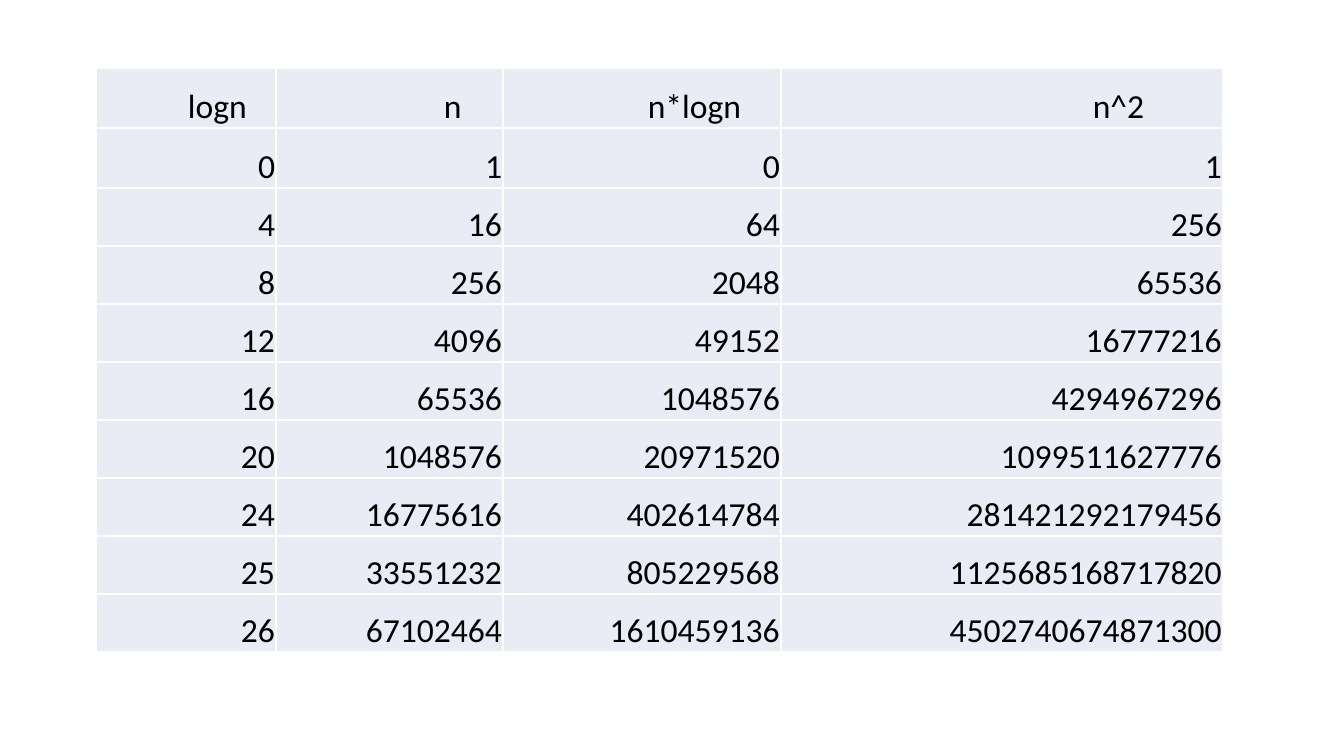
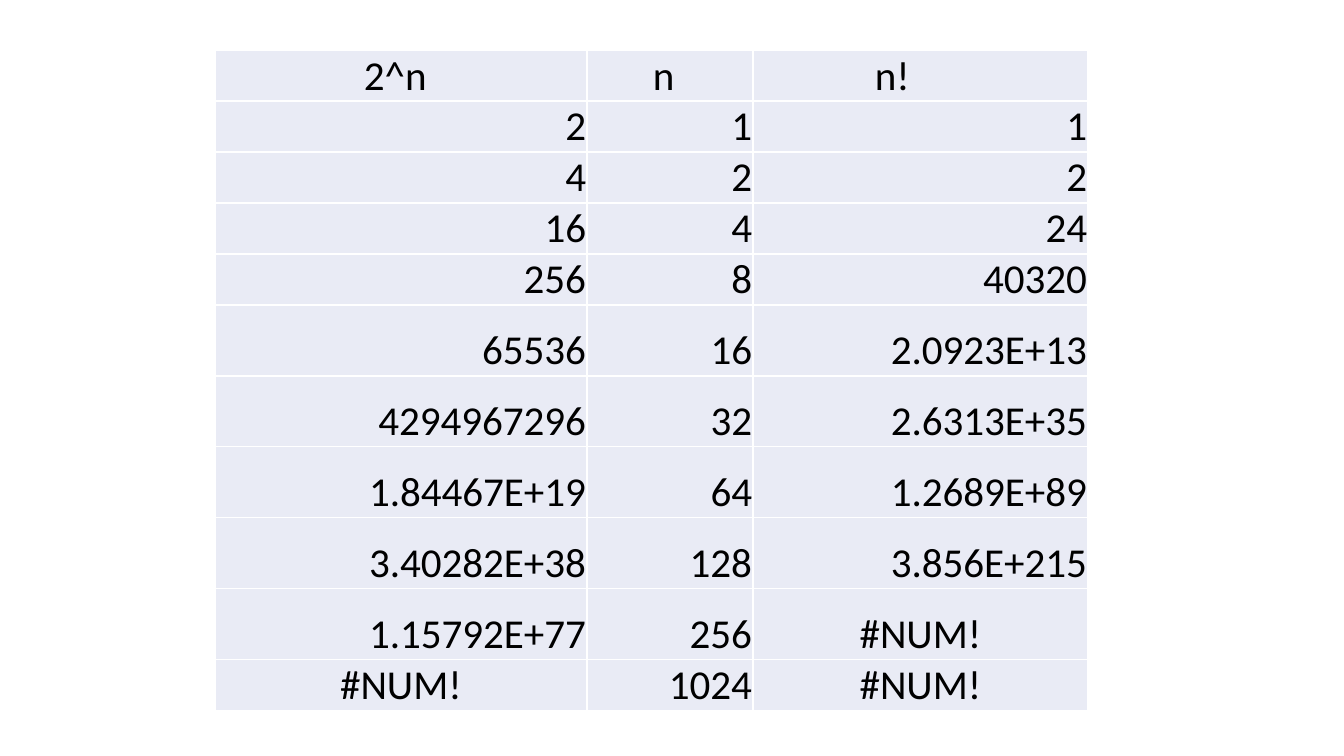
from dataclasses import dataclass

from lxml.etree import SubElement
from pptx import Presentation
from pptx.dml.color import RGBColor
from pptx.enum.text import MSO_ANCHOR, PP_ALIGN
from pptx.oxml.ns import qn
from pptx.presentation import Presentation as Deck
from pptx.table import _Cell as Cell
from pptx.util import Emu, Pt

SCALE = 914400 / 134.4  # EMU per pixel
WIDTH, HEIGHT = 1344, 756
FONT = "Calibri"
COLORS = {"text": "000000", "fill": "E9EBF5", "rule": "FFFFFF"}
ERROR = "#NUM!"


@dataclass(frozen=True)
class Head:
    """A column head: its label, column width and text indent."""
    label: str
    width: int
    indent: int


@dataclass(frozen=True)
class Grid:
    """A table of growth values; lengths are in pixels, size in points."""
    left: int
    top: int
    size: int
    heads: list[Head]
    heights: list[int]
    body: list[tuple[str, ...]]


GRIDS = [
    Grid(
        96, 68, 18,
        [Head("logn", 180, 91), Head("n", 227, 167),
         Head("n*logn", 278, 144), Head("n^2", 442, 311)],
        [60] * 2 + [58] * 8,
        [
            ("0", "1", "0", "1"),
            ("4", "16", "64", "256"),
            ("8", "256", "2048", "65536"),
            ("12", "4096", "49152", "16777216"),
            ("16", "65536", "1048576", "4294967296"),
            ("20", "1048576", "20971520", "1099511627776"),
            ("24", "16775616", "402614784", "281421292179456"),
            ("25", "33551232", "805229568", "1125685168717820"),
            ("26", "67102464", "1610459136", "4502740674871300"),
        ],
    ),
    Grid(
        215, 50, 22,
        [Head("2^n", 372, 148), Head("n", 166, 65), Head("n!", 335, 121)],
        [51] * 5 + [71] * 5 + [51],
        [
            ("2", "1", "1"),
            ("4", "2", "2"),
            ("16", "4", "24"),
            ("256", "8", "40320"),
            ("65536", "16", "2.0923E+13"),
            ("4294967296", "32", "2.6313E+35"),
            ("1.84467E+19", "64", "1.2689E+89"),
            ("3.40282E+38", "128", "3.856E+215"),
            ("1.15792E+77", "256", ERROR),
            (ERROR, "1024", ERROR),
        ],
    ),
]


def px(count: int) -> Emu:
    """Turn pixels into EMU."""
    return Emu(round(count * SCALE))


def rgb(name: str) -> RGBColor:
    """Look up a named colour."""
    return RGBColor.from_string(COLORS[name])


def rule_cell(cell: Cell) -> None:
    """Draw a thin rule on all four sides of a cell."""
    props = cell._tc.get_or_add_tcPr()
    for spot, side in enumerate(("lnL", "lnR", "lnT", "lnB")):
        line = SubElement(props, qn(f"a:{side}"), w=str(Pt(1)))
        fill = SubElement(line, qn("a:solidFill"))
        SubElement(fill, qn("a:srgbClr"), val=COLORS["rule"])
        props.insert(spot, line)


def fill_cell(cell: Cell, text: str, size: int, align: PP_ALIGN,
              indent: int = 0) -> None:
    """Style a cell and add its text as one run."""
    cell.fill.solid()
    cell.fill.fore_color.rgb = rgb("fill")
    rule_cell(cell)
    cell.vertical_anchor = MSO_ANCHOR.BOTTOM
    cell.margin_left = cell.margin_right = cell.margin_top = px(1)
    cell.margin_bottom = 0
    para = cell.text_frame.paragraphs[0]
    para.alignment = align
    if indent:
        para._p.get_or_add_pPr().set("marL", str(px(indent)))
    run = para.add_run()
    run.text = text
    run.font.name, run.font.size, run.font.bold = FONT, Pt(size), False
    run.font.color.rgb = rgb("text")


def add_grid(deck: Deck, grid: Grid) -> None:
    """Add a blank slide that holds one table."""
    slide = deck.slides.add_slide(deck.slide_layouts[6])
    frame = slide.shapes.add_table(
        len(grid.heights), len(grid.heads), px(grid.left), px(grid.top),
        px(sum(head.width for head in grid.heads)), px(sum(grid.heights)))
    table = frame.table
    table.first_row = table.horz_banding = False
    for row, height in zip(table.rows, grid.heights):
        row.height = px(height)
    for col, head in enumerate(grid.heads):
        table.columns[col].width = px(head.width)
        fill_cell(table.cell(0, col), head.label, grid.size,
                  PP_ALIGN.LEFT, head.indent)
    for row, values in enumerate(grid.body, 1):
        for col, text in enumerate(values):
            align = PP_ALIGN.CENTER if text == ERROR else PP_ALIGN.RIGHT
            fill_cell(table.cell(row, col), text, grid.size, align)


def main() -> None:
    """Build the deck and save it."""
    deck = Presentation()
    deck.slide_width, deck.slide_height = px(WIDTH), px(HEIGHT)
    for grid in GRIDS:
        add_grid(deck, grid)
    deck.save("out.pptx")


main()
